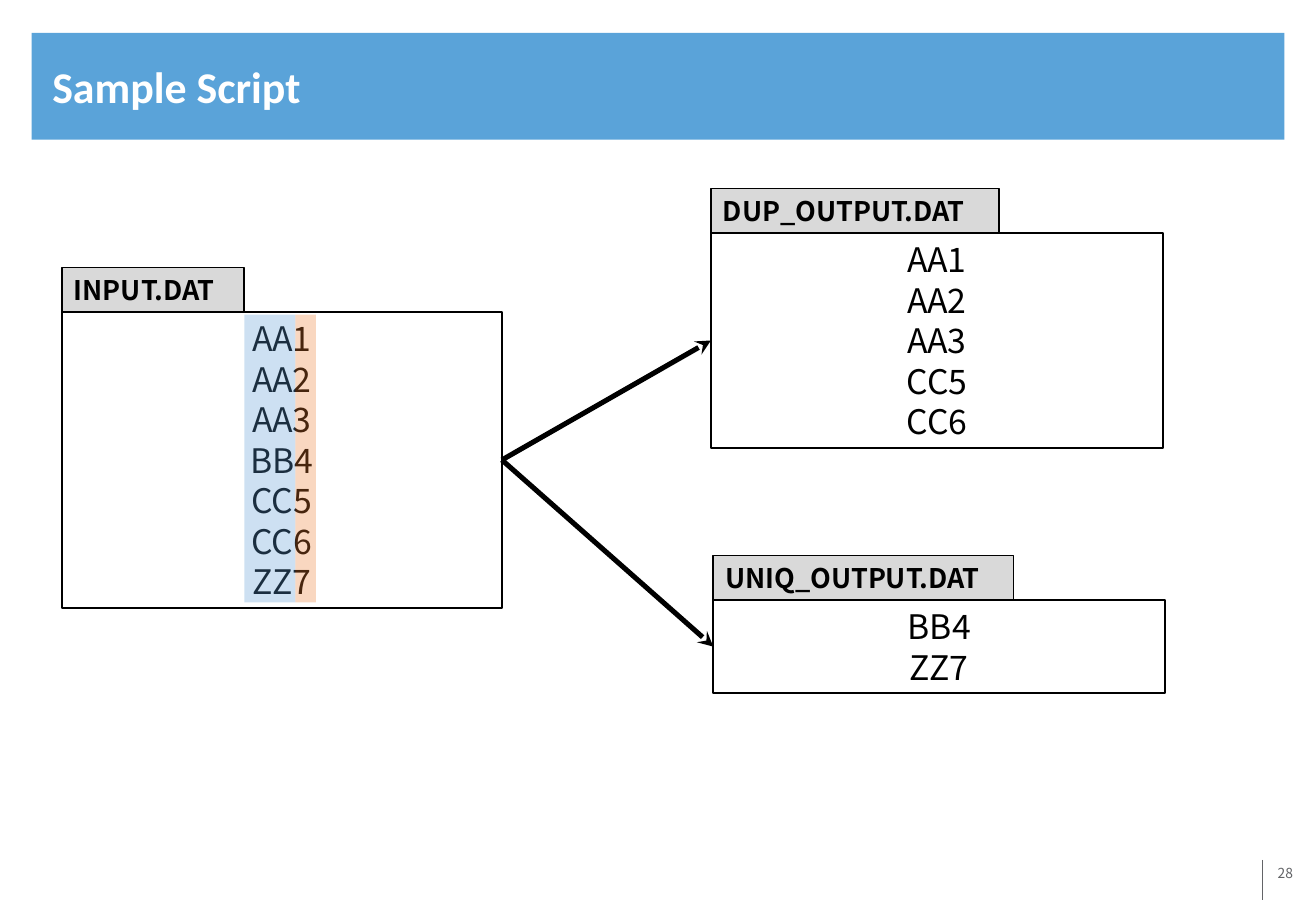
from lxml import etree
from pptx import Presentation
from pptx.dml.color import RGBColor
from pptx.enum.shapes import MSO_CONNECTOR, MSO_SHAPE
from pptx.enum.text import MSO_ANCHOR, MSO_AUTO_SIZE, PP_ALIGN
from pptx.oxml.ns import qn
from pptx.util import Inches, Pt

TITLE = "Sample Script"
PAGE = "28"
# Horizontal and vertical places are percentages of the slide's width and height.
FILES = {
    "INPUT.DAT": dict(left=4.71, top=34.27, width=33.43, label_width=13.85,
                      records=["AA1", "AA2", "AA3", "BB4", "CC5", "CC6", "ZZ7"]),
    "DUP_OUTPUT.DAT": dict(left=54.02, top=25.6, width=34.35, label_width=21.88,
                           records=["AA1", "AA2", "AA3", "CC5", "CC6"]),
    "UNIQ_OUTPUT.DAT": dict(left=54.2, top=65.87, width=34.35, label_width=22.81,
                            records=["BB4", "ZZ7"]),
}
FLOWS = [("INPUT.DAT", "DUP_OUTPUT.DAT"), ("INPUT.DAT", "UNIQ_OUTPUT.DAT")]
KEY_BANDS = [("5B9BD5", 3.88), ("ED7D31", 1.57)]  # colour, width
BAND_TOP, BAND_HEIGHT, BAND_OPACITY = 34.53, 31.6, 30
BAR = (2.4, 3.6, 95.2, 11.73)
TITLE_AREA = (3.05, 4.13, 94.18, 10.53)
PAGE_AREA = (82, 94.4, 16.9, 6.67)
PAGE_RULE = (95.94, 94.4, 95.94, 98.8)

BODY_FONT, TITLE_FONT = "Noto Sans CJK KR", "Calibri"
BLACK, WHITE, GREY, BLUE, LABEL_GREY = "000000", "FFFFFF", "636467", "5AA3D9", "D9D9D9"
RECORD_SIZE, LABEL_SIZE, LINE_FACTOR = 20, 16, 1.2

prs = Presentation()
prs.slide_width, prs.slide_height = Inches(10.83), Inches(7.5)
slide = prs.slides.add_slide(prs.slide_layouts[5])
shapes = slide.shapes


def across(percent):
    return round(prs.slide_width * percent / 100)


def down(percent):
    return round(prs.slide_height * percent / 100)


def area(left, top, width, height):
    return across(left), down(top), across(width), down(height)


def color(value):
    return RGBColor.from_string(value)


def text_height(size, lines):
    """Height of a box holding the lines and its top and bottom insets."""
    return Pt(size * LINE_FACTOR * lines) + Inches(0.1)


def write(frame, lines, size, ink, align, font=BODY_FONT, bold=False, spacing=None):
    frame.word_wrap = True
    frame.auto_size = MSO_AUTO_SIZE.NONE
    for number, line in enumerate(lines):
        paragraph = frame.add_paragraph() if number else frame.paragraphs[0]
        paragraph.alignment = align
        if spacing:
            paragraph.line_spacing = Pt(spacing)
        run = paragraph.add_run()
        run.text = line
        run.font.name, run.font.size, run.font.bold = font, Pt(size), bold
        run.font.color.rgb = color(ink)
        east_asian = etree.SubElement(run.font._element, qn("a:ea"))
        east_asian.set("typeface", font)


def rectangle(place, fill=None, outline=None, opacity=None):
    box = shapes.add_shape(MSO_SHAPE.RECTANGLE, *place)
    box.shadow.inherit = False
    if fill:
        box.fill.solid()
        box.fill.fore_color.rgb = color(fill)
    else:
        box.fill.background()
    if opacity:
        tint = box._element.spPr.find(qn("a:solidFill"))[0]
        etree.SubElement(tint, qn("a:alpha")).set("val", str(opacity * 1000))
    if outline:
        box.line.color.rgb, box.line.width = color(outline), Pt(1)
    else:
        box.line.fill.background()
    return box


def text_rectangle(place, lines, size, align, bold=False, fill=None):
    box = rectangle(place, fill, BLACK)
    box.text_frame.vertical_anchor = MSO_ANCHOR.TOP
    write(box.text_frame, lines, size, BLACK, align, bold=bold, spacing=size * LINE_FACTOR)
    return box


def connector(ends, ink, width):
    link = shapes.add_connector(MSO_CONNECTOR.STRAIGHT, *ends)
    link.line.color.rgb, link.line.width = color(ink), Pt(width)
    etree.SubElement(link._element.spPr, qn("a:effectLst"))
    return link


# Title bar, behind the title
bar = rectangle(area(*BAR), BLUE)
title = shapes.title
title._element.addprevious(bar._element)
title.left, title.top, title.width, title.height = area(*TITLE_AREA)
title.text_frame.vertical_anchor = MSO_ANCHOR.MIDDLE
write(title.text_frame, [TITLE], 26, WHITE, PP_ALIGN.LEFT, TITLE_FONT, True)

# Page number
page = shapes.add_textbox(*area(*PAGE_AREA)).text_frame
page.margin_left = page.margin_right = Inches(0.07)
page.margin_top = page.margin_bottom = Inches(0.04)
write(page, [PAGE], 8.2, GREY, PP_ALIGN.RIGHT)
x1, y1, x2, y2 = PAGE_RULE
connector((across(x1), down(y1), across(x2), down(y2)), GREY, 0.75)

# Files: a label standing on a box of records
record_boxes = {}
label_height = text_height(LABEL_SIZE, 1)
for name, file in FILES.items():
    left, top = across(file["left"]), down(file["top"])
    records = file["records"]
    record_boxes[name] = text_rectangle(
        (left, top, across(file["width"]), text_height(RECORD_SIZE, len(records))),
        records, RECORD_SIZE, PP_ALIGN.CENTER)
    text_rectangle((left, top - label_height, across(file["label_width"]), label_height),
                   [name], LABEL_SIZE, PP_ALIGN.LEFT, True, LABEL_GREY)

# Arrows from the right side of the source to the left side of each output
for source, target in FLOWS:
    arrow = connector((0, 0, 0, 0), BLACK, 3)
    arrow.begin_connect(record_boxes[source], 3)
    arrow.end_connect(record_boxes[target], 1)
    tip = etree.SubElement(arrow.line._get_or_add_ln(), qn("a:tailEnd"))
    tip.set("type", "stealth")

# Bands over the input's key and value, starting at the label's right edge
band_left = FILES["INPUT.DAT"]["left"] + FILES["INPUT.DAT"]["label_width"]
for fill, width in KEY_BANDS:
    rectangle(area(band_left, BAND_TOP, width, BAND_HEIGHT), fill, opacity=BAND_OPACITY)
    band_left += width

prs.save("out.pptx")
